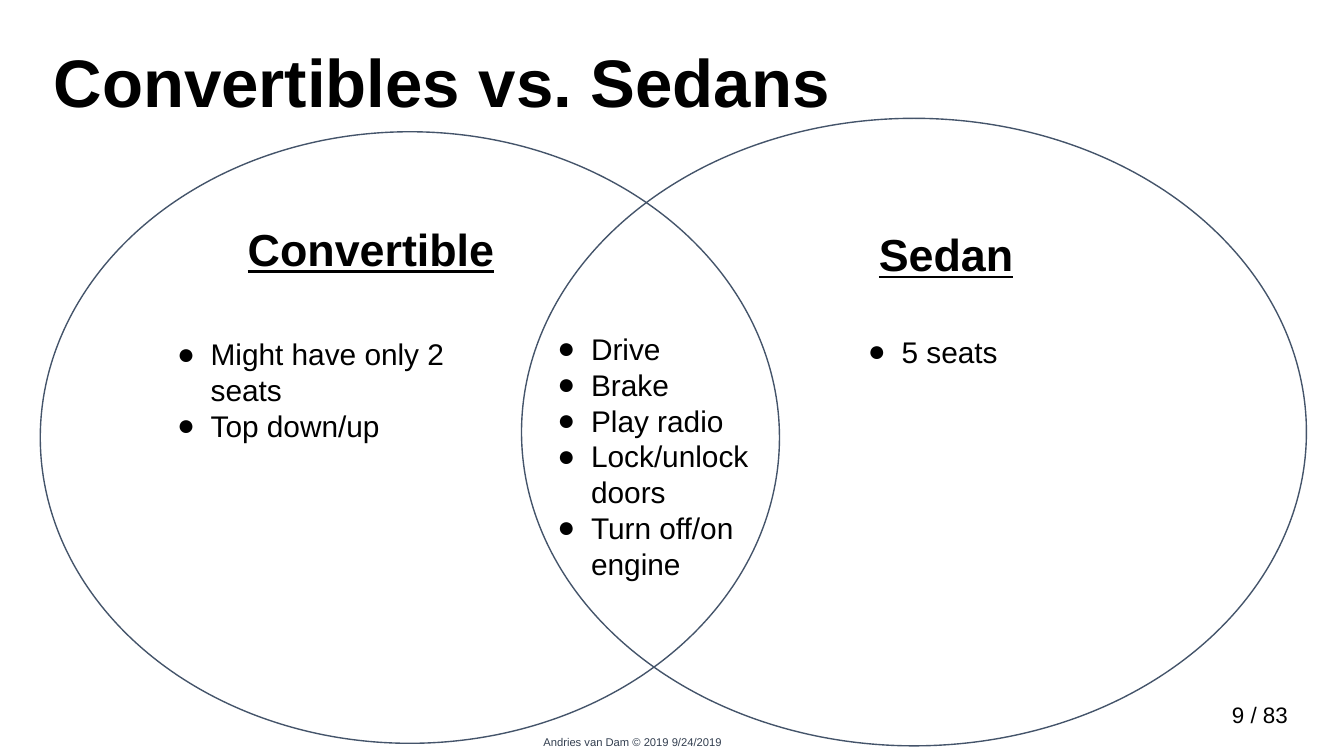
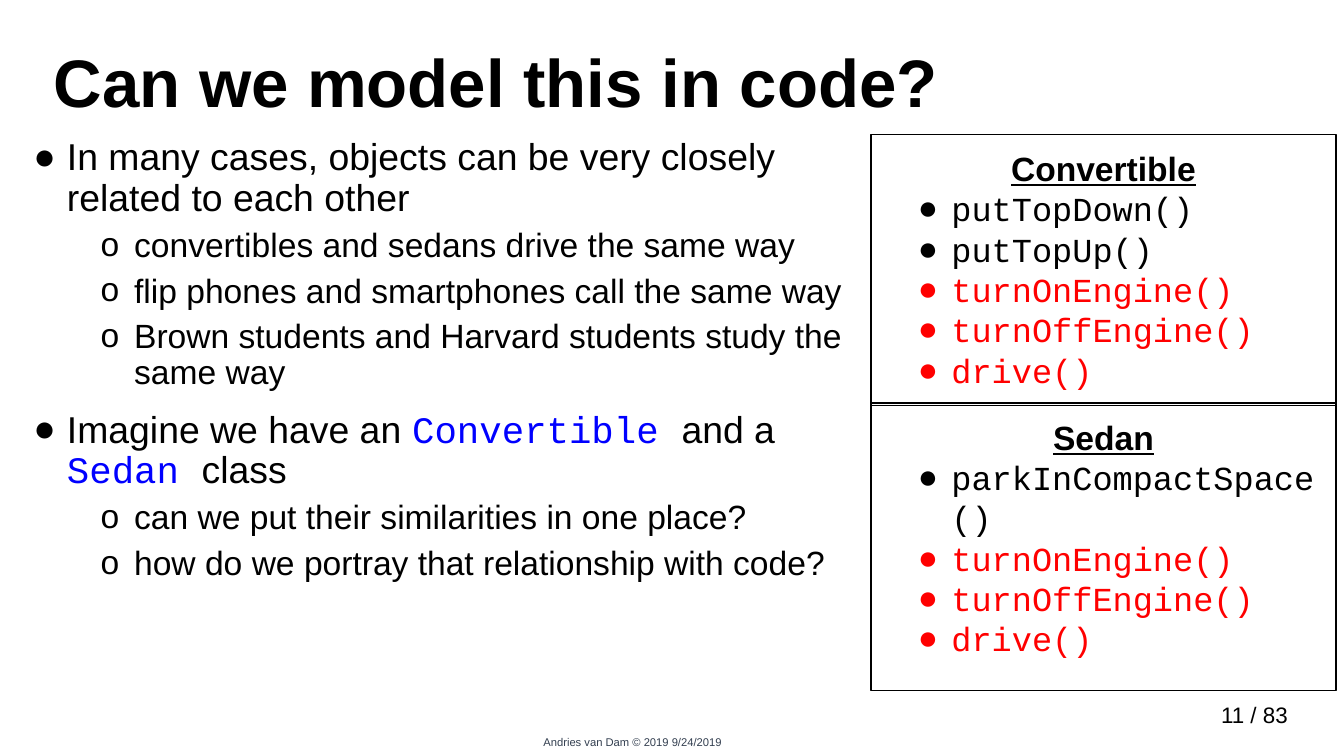
"""Builds two slides comparing convertibles and sedans."""
import pptx
import pptx.dml.color
import pptx.enum.shapes
import pptx.enum.text
import pptx.oxml.ns
import pptx.util
from dataclasses import dataclass
from lxml import etree

Pt = pptx.util.Pt
Align = pptx.enum.text.PP_ALIGN
Anchor = pptx.enum.text.MSO_ANCHOR
Kind = pptx.enum.shapes.MSO_SHAPE


@dataclass(frozen=True)
class Theme:
    """Colours, fonts and type sizes of the deck."""
    ink: str = "000000"
    slate: str = "44546A"
    note: str = "333F50"
    blue: str = "0000FF"
    red: str = "FF0000"
    sans: str = "Arial"
    mono: str = "Courier New"
    title: int = 36
    head: int = 24
    lead: int = 20
    sub: int = 18
    item: int = 16
    page: int = 12
    foot: int = 6


LOOK = Theme()
TOTAL = 83
PAD = 7.2


def rgb(tone):
    """Return a colour for a hex tone."""
    return pptx.dml.color.RGBColor.from_string(tone)


def place(box, left, top, width, height):
    """Return a part's box, moved by the corner of its region."""
    return box[0] + left, box[1] + top, width, height


def mark(para, sign, left, hang):
    """Give a paragraph a hanging bullet."""
    props = para._p.get_or_add_pPr()
    props.set("marL", str(Pt(left)))
    props.set("indent", str(-Pt(hang)))
    face = etree.SubElement(props, pptx.oxml.ns.qn("a:buFont"))
    face.set("typeface", LOOK.sans)
    etree.SubElement(props, pptx.oxml.ns.qn("a:buChar")).set("char", sign)


def write(frame, text, size, tone=LOOK.ink, font=LOOK.sans, bold=False,
          under=False, align=Align.LEFT, sign=None, left=36, hang=18,
          line=None, before=0):
    """Add a paragraph; text is a string or a list of (string, is code)."""
    fresh = not frame.text
    para = frame.paragraphs[0] if fresh else frame.add_paragraph()
    para.alignment = align
    if line:
        para.line_spacing = line
    if before and not fresh:
        para.space_before = Pt(before)
    if sign:
        mark(para, sign, left, hang)
    parts = [(text, False)] if isinstance(text, str) else text
    for words, code in parts:
        run = para.add_run()
        run.text = words
        run.font.size = Pt(size)
        run.font.name = LOOK.mono if code else font
        run.font.color.rgb = rgb(LOOK.blue if code else tone)
        run.font.bold = bold
        run.font.underline = under


def setup(frame, pad=None, anchor=Anchor.TOP):
    """Set wrapping, anchor and, if given, even margins of a frame."""
    frame.word_wrap = True
    frame.vertical_anchor = anchor
    if pad is not None:
        frame.margin_left = frame.margin_right = Pt(pad)
        frame.margin_top = frame.margin_bottom = Pt(pad)
    return frame


def label(slide, box, **style):
    """Add a text box and return its frame."""
    return setup(slide.shapes.add_textbox(*map(Pt, box)).text_frame, **style)


def shape(slide, kind, box, tone):
    """Add an outlined shape without fill."""
    form = slide.shapes.add_shape(kind, *map(Pt, box))
    form.shadow.inherit = False
    form.fill.background()
    form.line.color.rgb = rgb(tone)
    form.line.width = Pt(0.75)
    return form


def start(deck, title, page):
    """Add a slide with its title, page number and footer."""
    slide = deck.slides.add_slide(deck.slide_layouts[6])
    write(label(slide, (239.8, 390.2, 198, 31.7)),
          "Andries van Dam © 2019 9/24/2019", LOOK.foot, tone=LOOK.note,
          align=Align.CENTER)
    write(label(slide, (535, 372.2, 162, 21.6), anchor=Anchor.MIDDLE),
          f"{page} / {TOTAL}", LOOK.page, align=Align.RIGHT)
    write(label(slide, (21.6, 21.6, 675.4, 49), anchor=Anchor.MIDDLE),
          title, LOOK.title, bold=True, line=0.9)
    return slide


def venn(slide, box):
    """Draw two overlapping sets with headings and lists."""
    for oval in ((257.8, 0, 420.5, 336.2), (0, 7.2, 396, 327.6)):
        shape(slide, Kind.OVAL, place(box, *oval), LOOK.slate)
    heads = (("Convertible", (96.5, 48.2, 161.3, 46.8)),
             ("Sedan", (404.6, 51.1, 161.3, 41.8)))
    for name, spot in heads:
        write(label(slide, place(box, *spot), pad=PAD), name, LOOK.head,
              bold=True, under=True, align=Align.CENTER)
    lists = (
        ((48.2, 109.4, 201.6, 69.8),
         ("Might have only 2 seats", "Top down/up")),
        ((252, 106.5, 144, 156.2),
         ("Drive", "Brake", "Play radio", "Lock/unlock doors",
          "Turn off/on engine")),
        ((418.3, 108, 215.3, 82.8), ("5 seats",)),
    )
    for spot, items in lists:
        frame = label(slide, place(box, *spot), pad=PAD)
        for item in items:
            write(frame, item, LOOK.item, sign="●")


def points(slide, box, groups):
    """Write lead points, each with its sub-points."""
    frame = label(slide, box)
    for lead, subs in groups:
        write(frame, lead, LOOK.lead, sign="●", left=18, line=0.9, before=10)
        for sub in subs:
            write(frame, sub, LOOK.sub, sign="o", left=54, line=0.9, before=5)


def card(slide, box, name, own, shared):
    """Draw a class card with its own and its shared methods."""
    form = shape(slide, Kind.RECTANGLE, box, LOOK.ink)
    frame = setup(form.text_frame, pad=PAD)
    write(frame, name, LOOK.sub, bold=True, under=True, align=Align.CENTER)
    for calls, tone in ((own, LOOK.ink), (shared, LOOK.red)):
        for call in calls:
            write(frame, call, LOOK.sub, tone=tone, font=LOOK.mono, sign="●")


def cards(slide, box):
    """Stack the two class cards."""
    shared = ("turnOnEngine()", "turnOffEngine()", "drive()")
    rows = ((0, 145.4, "Convertible", ("putTopDown()", "putTopUp()")),
            (144, 154.1, "Sedan", ("parkInCompactSpace()",)))
    for top, height, name, own in rows:
        card(slide, place(box, 0, top, box[2], height), name, own, shared)


def main():
    """Build and save the deck."""
    deck = pptx.Presentation()
    deck.slide_width, deck.slide_height = Pt(720), Pt(405)

    slide = start(deck, "Convertibles vs. Sedans", 9)
    venn(slide, (21.6, 63.4, 678.3, 336.2))

    slide = start(deck, "Can we model this in code?", 11)
    points(slide, (10.8, 70.6, 455.8, 323.3), (
        ("In many cases, objects can be very closely related to each other",
         ("convertibles and sedans drive the same way",
          "flip phones and smartphones call the same way",
          "Brown students and Harvard students study the same way")),
        ([("Imagine we have an ", False), ("Convertible ", True),
          ("and a ", False), ("Sedan ", True), ("class", False)],
         ("can we put their similarities in one place?",
          "how do we portray that relationship with code?")),
    ))
    cards(slide, (466.6, 72, 249.1, 298.1))
    deck.save("out.pptx")


if __name__ == "__main__":
    main()
